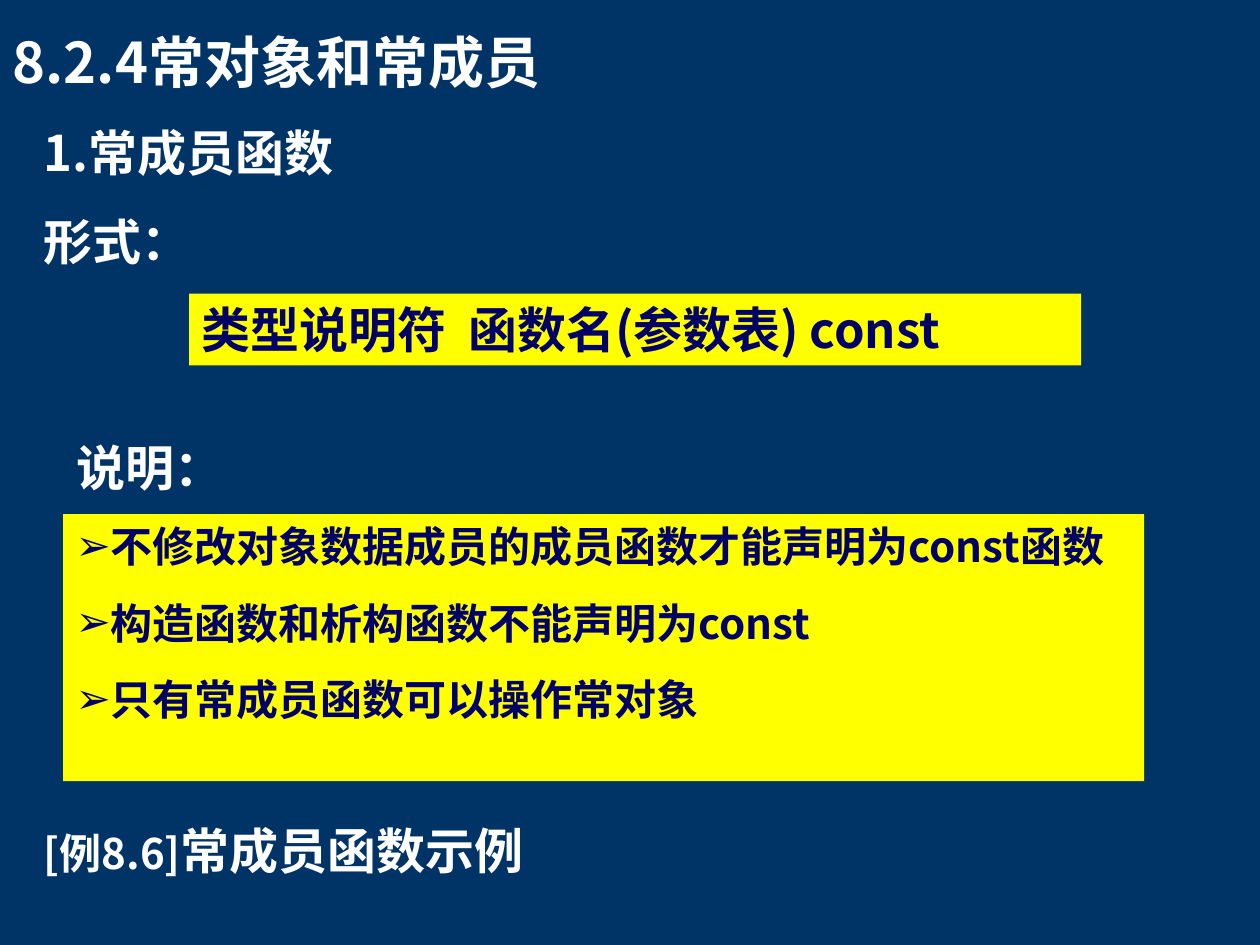
from lxml import etree
from pptx import Presentation
from pptx.dml.color import RGBColor
from pptx.enum.shapes import MSO_SHAPE
from pptx.enum.text import MSO_ANCHOR, MSO_AUTO_SIZE, PP_ALIGN
from pptx.oxml.ns import qn
from pptx.util import Inches, Pt

NAVY = RGBColor(0x00, 0x33, 0x66)
INK = RGBColor(0x00, 0x00, 0x66)
YELLOW = RGBColor(0xFF, 0xFF, 0x00)
WHITE = RGBColor(0xFF, 0xFF, 0xFF)
FONT = "Noto Sans CJK SC"
LEFT, CENTER, JUSTIFY = PP_ALIGN.LEFT, PP_ALIGN.CENTER, PP_ALIGN.JUSTIFY
TOP = MSO_ANCHOR.TOP
NO_AUTOFIT = MSO_AUTO_SIZE.NONE
RECTANGLE = MSO_SHAPE.RECTANGLE


def place(shape, left, top, width, height):
    shape.left, shape.top = Inches(left), Inches(top)
    shape.width, shape.height = Inches(width), Inches(height)


def write(shape, lines, size, color, align=LEFT, before=0, wrap=True):
    """Fill the shape with one bold paragraph per line."""
    frame = shape.text_frame
    frame.text = "\n".join(lines)
    frame.word_wrap = wrap
    frame.auto_size = NO_AUTOFIT
    frame.vertical_anchor = TOP
    for paragraph in frame.paragraphs:
        paragraph.alignment = align
        paragraph.space_before = Pt(before)
        font = paragraph.font
        font.name, font.size, font.bold = FONT, Pt(size), True
        font.color.rgb = color
        defaults = paragraph._p.pPr.find(qn("a:defRPr"))
        etree.SubElement(defaults, qn("a:ea"), typeface=FONT)
    return frame.paragraphs


prs = Presentation()
prs.slide_width, prs.slide_height = Inches(10), Inches(7.5)
slide = prs.slides.add_slide(prs.slide_layouts[1])
slide.background.fill.solid()
slide.background.fill.fore_color.rgb = NAVY
shapes = slide.shapes

title = shapes.title
place(title, 0, 0.17, 9, 0.64)
write(title, ["8.2.4常对象和常成员"], 32, WHITE, before=20)

heading = shapes.add_textbox(Inches(0.25), Inches(0.92), Inches(7.5), Inches(1.28))
write(heading, ["1.常成员函数", "形式："], 28, WHITE, before=17.5)

syntax = shapes.add_shape(RECTANGLE, Inches(1.5), Inches(2.33), Inches(7.08), Inches(0.57))
syntax.shadow.inherit = False
syntax.fill.solid()
syntax.fill.fore_color.rgb = YELLOW
syntax.line.fill.background()
write(syntax, ["类型说明符  函数名(参数表) const"], 28, INK, JUSTIFY, before=17.5)

rules = slide.placeholders[1]
place(rules, 0.5, 4.08, 8.58, 2.12)
rules.fill.solid()
rules.fill.fore_color.rgb = YELLOW
rule_lines = [
    "不修改对象数据成员的成员函数才能声明为const函数",
    "构造函数和析构函数不能声明为const",
    "只有常成员函数可以操作常对象",
]
for rule in write(rules, rule_lines, 24, INK, JUSTIFY, before=15):
    properties = rule._p.pPr
    properties.set("marL", "0")
    properties.set("indent", "0")
    bullet_color = etree.Element(qn("a:buClr"))
    etree.SubElement(bullet_color, qn("a:srgbClr"), val=str(INK))
    bullet = etree.Element(qn("a:buChar"), char="➢")
    properties.find(qn("a:defRPr")).addprevious(bullet_color)
    bullet_color.addnext(bullet)

notes_label = shapes.add_textbox(Inches(0.51), Inches(3.42), Inches(1.36), Inches(0.57))
write(notes_label, ["说明："], 28, WHITE, CENTER, wrap=False)

example = shapes.add_textbox(Inches(0.25), Inches(6.42), Inches(4.83), Inches(0.62))
caption = write(example, ["[例8.6]"], 24, WHITE)[0]
caption.line_spacing = 1.1
example_name = caption.add_run()
example_name.text = "常成员函数示例"
example_name.font.size = Pt(28)

prs.save("out.pptx")
